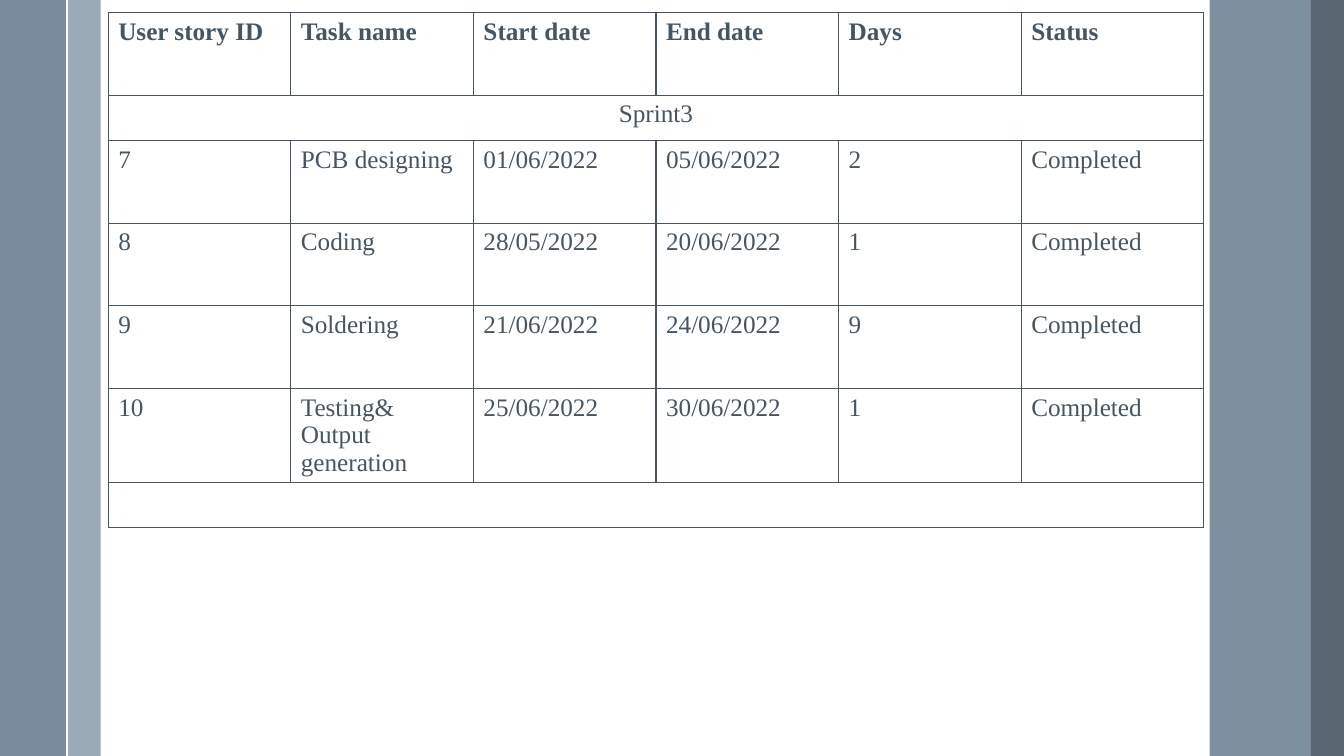
from lxml import etree
from pptx import Presentation
from pptx.dml.color import RGBColor
from pptx.enum.shapes import MSO_CONNECTOR, MSO_SHAPE
from pptx.enum.text import PP_ALIGN
from pptx.oxml.ns import qn
from pptx.util import Inches, Pt

RECT = MSO_SHAPE.RECTANGLE
LINE = MSO_CONNECTOR.STRAIGHT
CENTER = PP_ALIGN.CENTER
WIDE, HIGH = Inches(13.33), Inches(7.5)
COL, ROW = WIDE / 40, HIGH / 60
COLORS = {"pale": "9BAAB7", "steel": "6A8093", "slate": "475562",
          "ink": "465562", "white": "FFFFFF"}
FONT = {"name": "Times New Roman", "size": Pt(18)}
BANDS = [(2, 1, "pale", 100), (0, 2, "steel", 90),
         (36, 3, "steel", 87), (39, 1, "slate", 90)]
TASKS = [
    ["User story ID", "Task name", "Start date", "End date", "Days", "Status"],
    ["Sprint3"],
    ["7", "PCB designing", "01/06/2022", "05/06/2022", "2", "Completed"],
    ["8", "Coding", "28/05/2022", "20/06/2022", "1", "Completed"],
    ["9", "Soldering", "21/06/2022", "24/06/2022", "9", "Completed"],
    ["10", "Testing&\nOutput generation", "25/06/2022", "30/06/2022", "1",
     "Completed"],
    [""],
]
TALL, SHORT = 6.56, 3.6


def color(name):
    """Return the named colour."""
    return RGBColor.from_string(COLORS[name])


def paint(fill, name, alpha=100):
    """Fill with a named colour at a percentage of opacity."""
    fill.solid()
    fill.fore_color.rgb = color(name)
    if alpha < 100:
        for node in fill._xPr.iter(qn("a:srgbClr")):
            etree.SubElement(node, qn("a:alpha"), val=str(alpha * 1000))


def draw_bands(slide, left, top, high):
    """Draw the side bands and the white rule from the given corner."""
    for start, span, name, alpha in BANDS:
        band = slide.shapes.add_shape(RECT, int(left + start * COL), top,
                                      int(span * COL), high)
        band.shadow.inherit = False
        band.line.fill.background()
        paint(band.fill, name, alpha)
    spot = int(left + 2 * COL)
    rule = slide.shapes.add_connector(LINE, spot, top, spot, top + high)
    rule.line.color.rgb = color("white")
    rule.line.width = Pt(1.5)
    etree.SubElement(rule._element.spPr, qn("a:effectLst"))


def frame(cell):
    """Put a thin border on all four sides of a cell."""
    props = cell._tc.get_or_add_tcPr()
    for place, side in enumerate("LRTB"):
        edge = etree.Element(qn("a:ln" + side), w=str(Pt(1)))
        fill = etree.SubElement(edge, qn("a:solidFill"))
        etree.SubElement(fill, qn("a:srgbClr"), val=COLORS["ink"])
        props.insert(place, edge)


def write(cell, text, bold, align):
    """Write styled text into a cell."""
    cell.text = text
    for para in cell.text_frame.paragraphs:
        para.alignment = align
        for key, value in FONT.items():
            setattr(para.font, key, value)
        for run in para.runs:
            for key, value in {**FONT, "bold": bold}.items():
                setattr(run.font, key, value)
            run.font.color.rgb = color("ink")


def draw_tasks(slide, left, top, wide):
    """Draw the sprint table, merging each row that has one entry."""
    count = len(TASKS[0])
    sizes = [int((SHORT if len(row) == 1 else TALL) * ROW) for row in TASKS]
    table = slide.shapes.add_table(len(TASKS), count, left, top, wide,
                                   sum(sizes)).table
    table.first_row = table.horz_banding = False
    for column in table.columns:
        column.width = wide // count
    for index, (entries, size) in enumerate(zip(TASKS, sizes)):
        table.rows[index].height = size
        cells = list(table.rows[index].cells)
        for cell in cells:
            paint(cell.fill, "white")
            frame(cell)
        single = len(entries) == 1
        if single:
            cells[0].merge(cells[-1])
        for cell, text in zip(cells, entries):
            write(cell, text, index == 0, CENTER if single else None)


def main():
    """Build and save the slide."""
    deck = Presentation()
    deck.slide_width, deck.slide_height = WIDE, HIGH
    slide = deck.slides.add_slide(deck.slide_layouts[6])
    draw_bands(slide, 0, 0, HIGH)
    draw_tasks(slide, int(3.22 * COL), int(ROW), int(32.61 * COL))
    deck.save("out.pptx")


if __name__ == "__main__":
    main()
